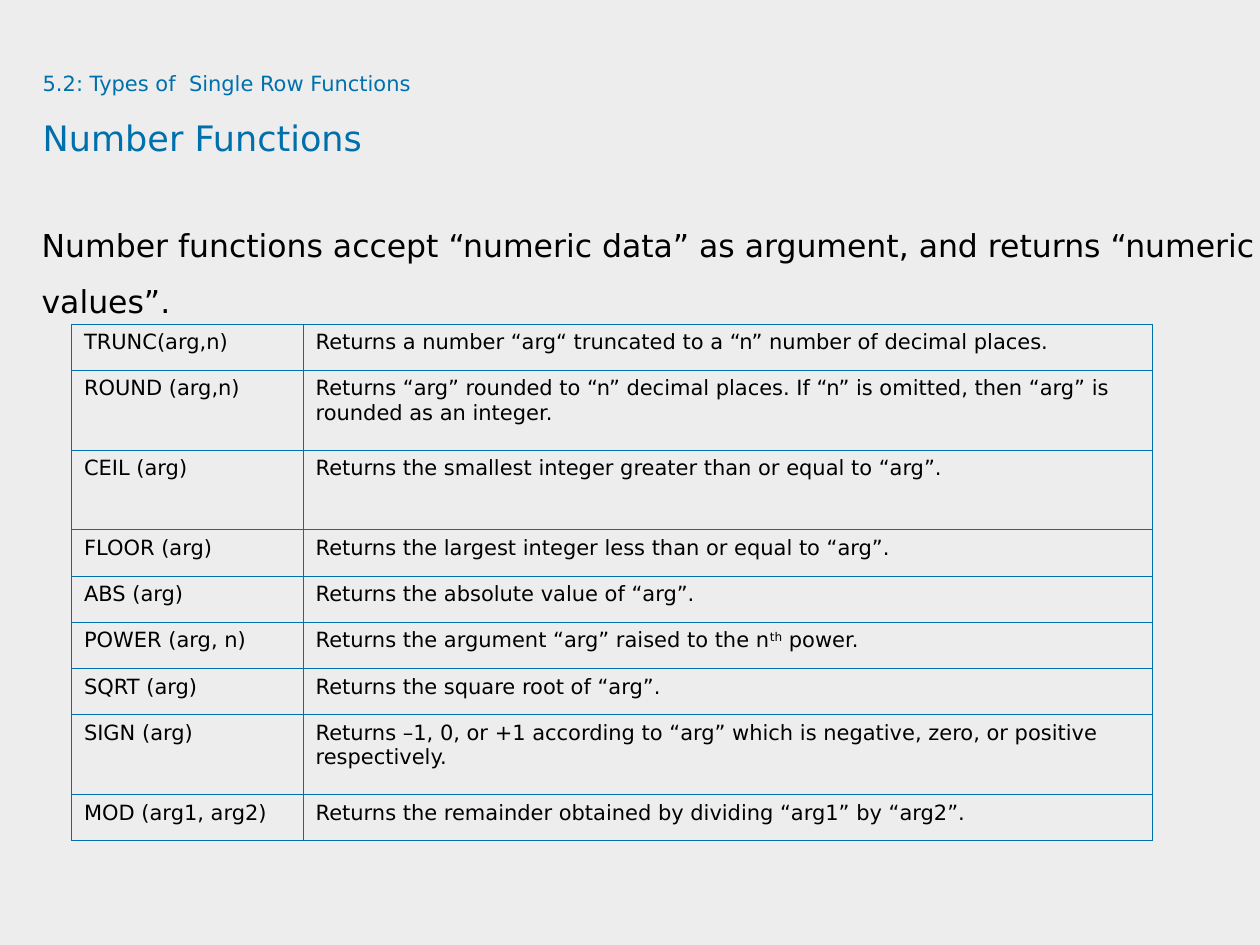
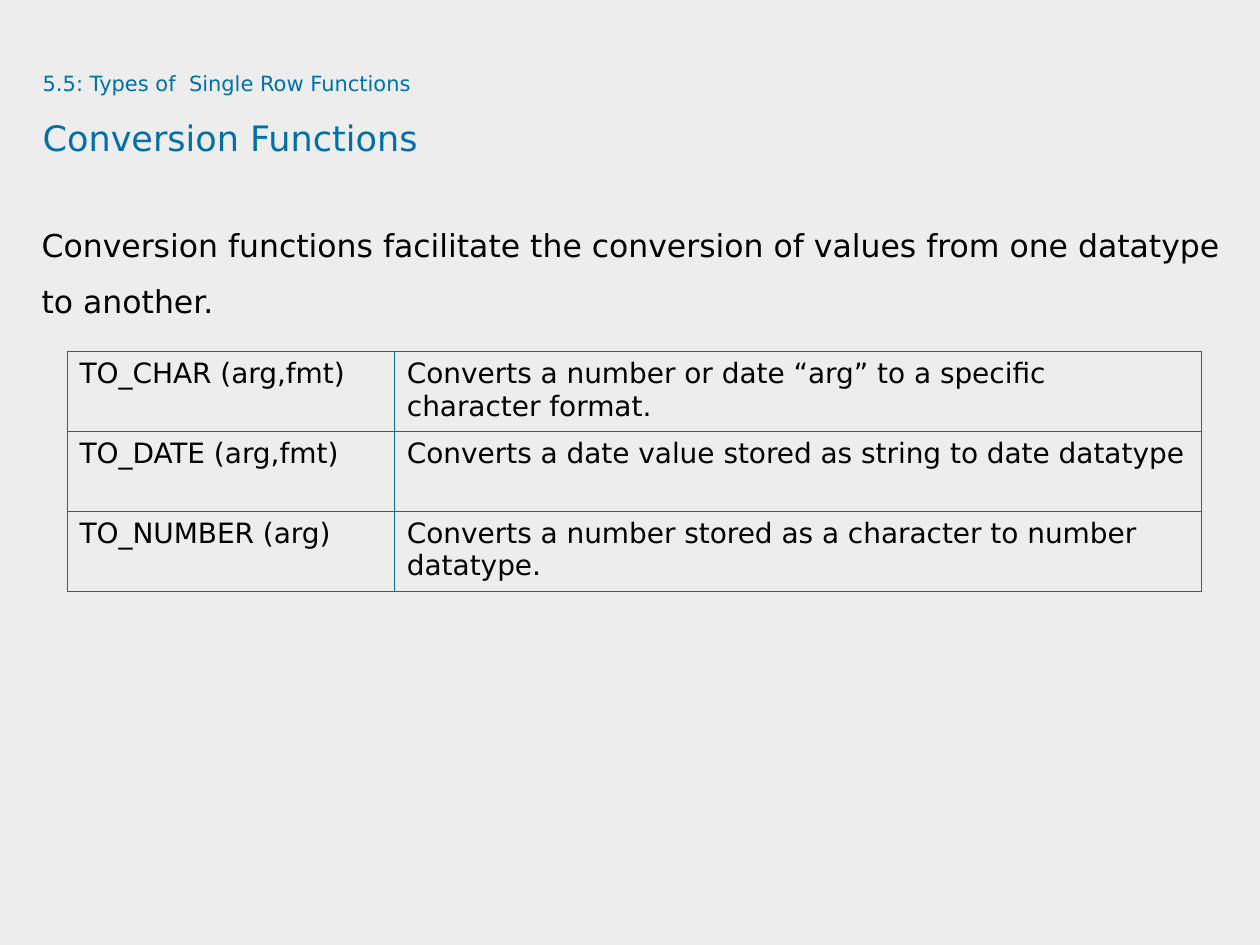
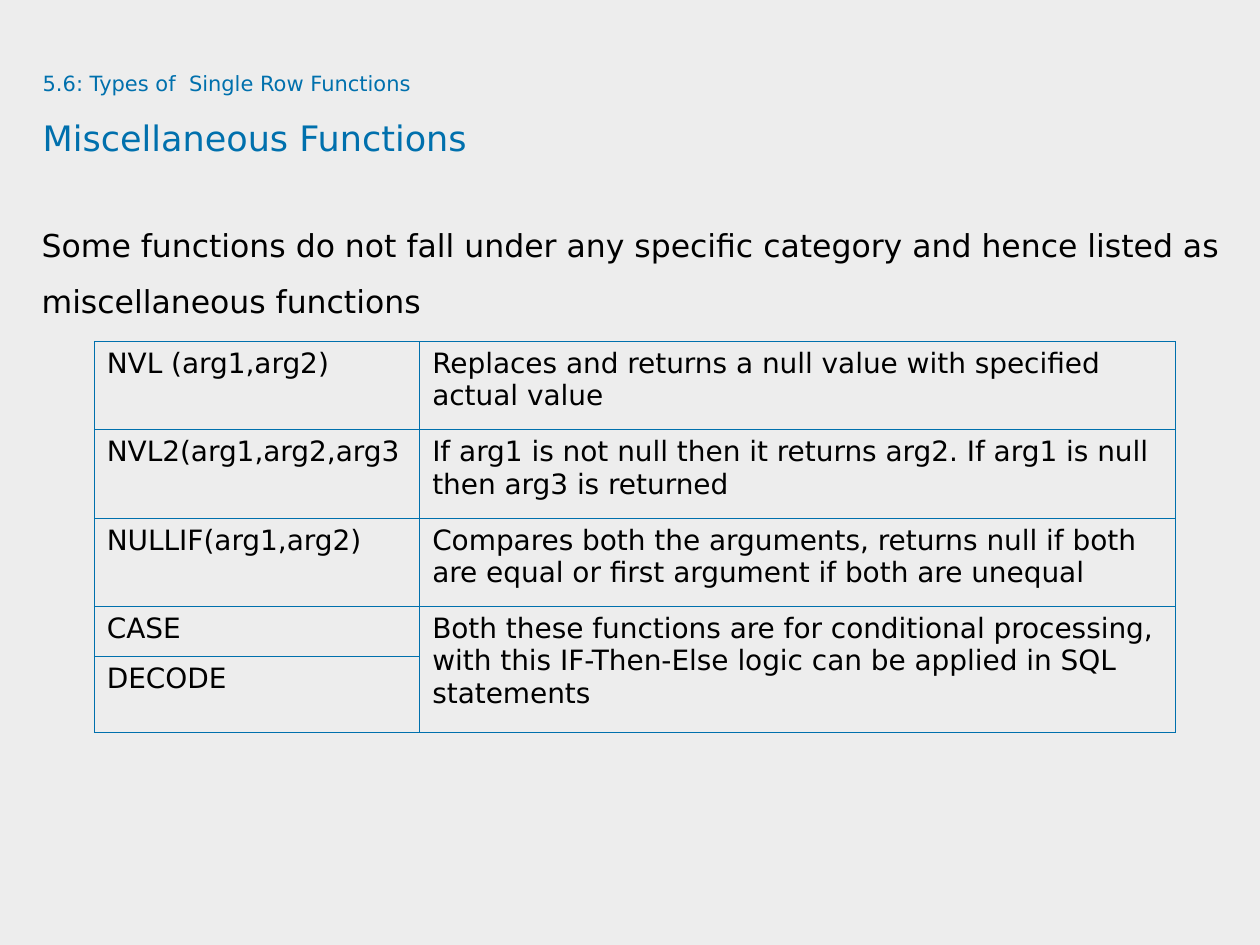
from lxml import etree
from pptx import Presentation
from pptx.dml.color import RGBColor
from pptx.enum import text
from pptx.oxml.ns import qn
from pptx.util import Cm, Pt

COLORS = {"background": "EDEDED", "accent": "0070AD", "body": "000000"}
FONT = "DejaVu Sans"
SECTION_SIZE, TITLE_SIZE, BODY_SIZE = 12, 20, 18
LINE_SPACING = 1.5
BORDER_WIDTH = Pt(0.45)
SINGLE, DOUBLE = 0.93, 1.61  # row heights in cm for one and two lines

NUMBER_ROWS = [
    (SINGLE, "TRUNC(arg,n)", "Returns a number “arg“ truncated to a “n” number of decimal places."),
    (DOUBLE, "ROUND (arg,n)",
     "Returns “arg” rounded to “n” decimal places. If “n” is omitted, then “arg” is rounded as an integer."),
    (DOUBLE, "CEIL (arg)", "Returns the smallest integer greater than or equal to “arg”."),
    (SINGLE, "FLOOR (arg)", "Returns the largest integer less than or equal to “arg”."),
    (SINGLE, "ABS (arg)", "Returns the absolute value of “arg”."),
    (SINGLE, "POWER (arg, n)", "Returns the argument “arg” raised to the n^th^ power."),
    (SINGLE, "SQRT (arg)", "Returns the square root of “arg”."),
    (DOUBLE, "SIGN (arg)",
     "Returns –1, 0, or +1 according to “arg” which is negative, zero, or positive respectively."),
    (SINGLE, "MOD (arg1, arg2)", "Returns the remainder obtained by dividing “arg1” by “arg2”."),
]

CONVERSION_ROWS = [
    (DOUBLE, "TO_CHAR (arg,fmt)", "Converts a number or date “arg” to a specific character format."),
    (DOUBLE, "TO_DATE (arg,fmt)", "Converts a date value stored as string to date datatype"),
    (DOUBLE, "TO_NUMBER (arg)", "Converts a number stored as a character to number datatype."),
]

# A row without a description shares the one above it.
MISCELLANEOUS_ROWS = [
    (1.78, "NVL (arg1,arg2)", "Replaces and returns a null value with specified actual value"),
    (1.78, "NVL2(arg1,arg2,arg3",
     "If arg1 is not null then it returns arg2. If arg1 is null then arg3 is returned"),
    (1.78, "NULLIF(arg1,arg2)",
     "Compares both the arguments, returns null if both are equal or first argument if both are unequal"),
    (1.02, "CASE",
     "Both these functions are for conditional processing, with this IF-Then-Else logic "
     "can be applied in SQL statements"),
    (1.52, "DECODE", None),
]


def add_text(paragraph, content, *, size, color="body"):
    """Add formatted runs; parts between ^ marks are superscript."""
    for index, part in enumerate(content.split("^")):
        run = paragraph.add_run()
        run.text = part
        run.font.name = FONT
        run.font.size = Pt(size)
        run.font.color.rgb = RGBColor.from_string(COLORS[color])
        if index % 2:
            run.font._element.set("baseline", "30000")


def prepare_frame(shape):
    """Make a plain top-anchored frame and return its first paragraph."""
    frame = shape.text_frame
    frame.word_wrap = True
    frame.auto_size = text.MSO_AUTO_SIZE.NONE
    frame.vertical_anchor = text.MSO_ANCHOR.TOP
    frame.margin_left = frame.margin_top = frame.margin_right = frame.margin_bottom = 0
    paragraph = frame.paragraphs[0]
    paragraph.alignment = text.PP_ALIGN.LEFT
    paragraph.line_spacing = LINE_SPACING
    return paragraph


def set_title(slide, section, title):
    shape = slide.shapes.title
    shape.left, shape.top, shape.width, shape.height = Cm(0.86), Cm(1.17), Cm(23.09), Cm(2.39)
    paragraph = prepare_frame(shape)
    add_text(paragraph, section, size=SECTION_SIZE, color="accent")
    paragraph.add_line_break()
    line_break = paragraph._p.find(qn("a:br"))
    etree.SubElement(line_break, qn("a:rPr"), sz=str(SECTION_SIZE * 100))
    add_text(paragraph, title, size=TITLE_SIZE, color="accent")


def add_introduction(slide, content):
    shape = slide.shapes.add_textbox(Cm(0.84), Cm(4.17), Cm(24.56), Cm(12.9))
    paragraph = prepare_frame(shape)
    paragraph.space_after = Pt(4.5)
    add_text(paragraph, content, size=BODY_SIZE)


def outline_cell(cell):
    properties = cell._tc.get_or_add_tcPr()
    for side in ("lnL", "lnR", "lnT", "lnB"):
        line = etree.SubElement(properties, qn(f"a:{side}"), w=str(BORDER_WIDTH))
        fill = etree.SubElement(line, qn("a:solidFill"))
        etree.SubElement(fill, qn("a:srgbClr"), val=COLORS["accent"])
    cell.fill.background()


def add_function_table(slide, rows, *, left, top, widths, size):
    height = sum(row[0] for row in rows)
    frame = slide.shapes.add_table(len(rows), len(widths), Cm(left), Cm(top),
                                   Cm(sum(widths)), Cm(height))
    table = frame.table
    table.first_row = table.horz_banding = False
    for column, width in zip(table.columns, widths):
        column.width = Cm(width)
    for row_index, (row_height, *contents) in enumerate(rows):
        table.rows[row_index].height = Cm(row_height)
        for column_index, content in enumerate(contents):
            cell = table.cell(row_index, column_index)
            outline_cell(cell)
            if content is None:
                table.cell(row_index - 1, column_index).merge(cell)
            else:
                add_text(cell.text_frame.paragraphs[0], content, size=size)


def add_function_slide(presentation, section, title, introduction, rows, **table_format):
    slide = presentation.slides.add_slide(presentation.slide_layouts[5])
    set_title(slide, f"{section}: Types of  Single Row Functions", title)
    add_introduction(slide, introduction)
    add_function_table(slide, rows, **table_format)


def main():
    presentation = Presentation()
    presentation.slide_width, presentation.slide_height = Cm(25.4), Cm(19.05)
    background = presentation.slide_master.background.fill
    background.solid()
    background.fore_color.rgb = RGBColor.from_string(COLORS["background"])

    add_function_slide(
        presentation, "5.2", "Number Functions",
        "Number functions accept “numeric data” as argument, and returns “numeric values”.",
        NUMBER_ROWS, left=1.44, top=6.53, widths=(4.67, 17.12), size=12)
    add_function_slide(
        presentation, "5.5", "Conversion Functions",
        "Conversion functions facilitate the conversion of values from one datatype to another.",
        CONVERSION_ROWS, left=1.35, top=7.09, widths=(6.6, 16.26), size=16)
    add_function_slide(
        presentation, "5.6", "Miscellaneous Functions",
        "Some functions do not fall under any specific category and hence listed as miscellaneous functions",
        MISCELLANEOUS_ROWS, left=1.9, top=6.88, widths=(6.56, 15.24), size=16)
    presentation.save("out.pptx")


if __name__ == "__main__":
    main()
